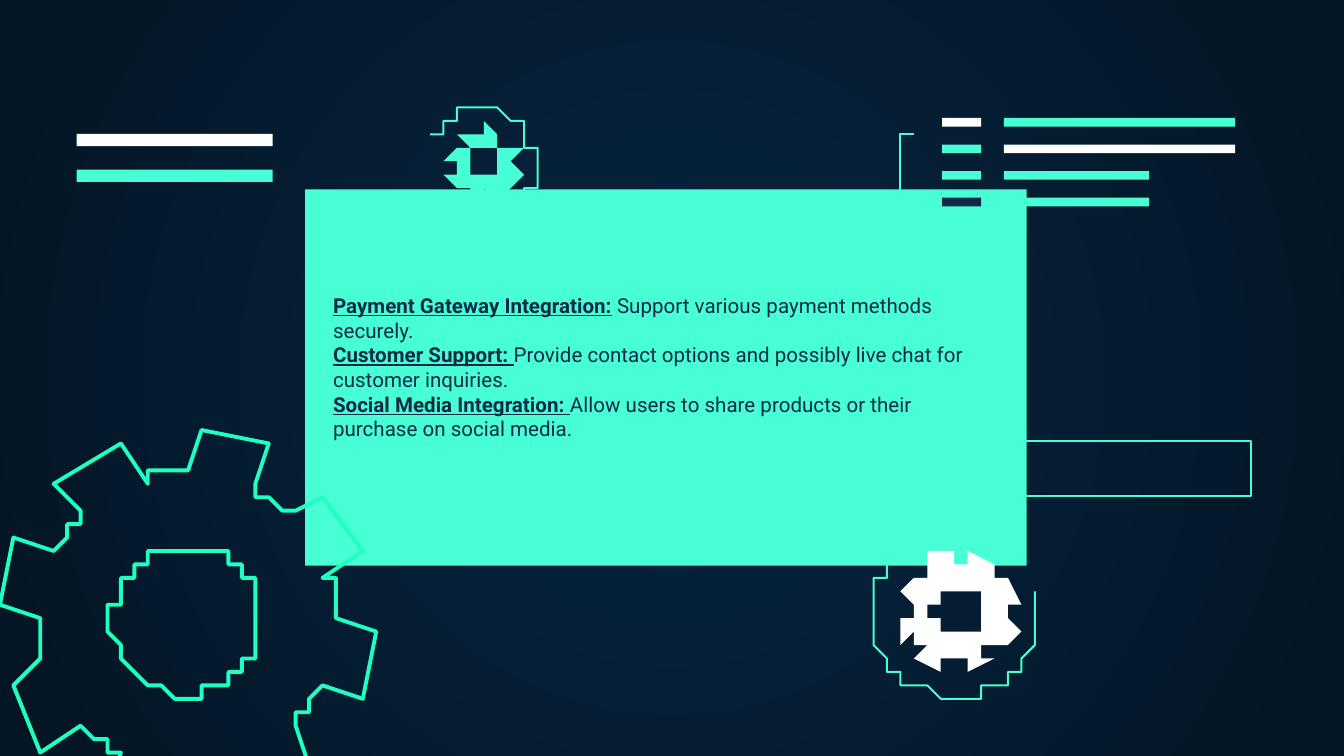
import math

from lxml import etree
from pptx import Presentation
from pptx import util as u
from pptx.dml.color import RGBColor
from pptx.enum import shapes, text
from pptx.oxml.ns import qn

COLUMNS, ROWS = 100, 56.25
CELL = u.Inches(10) // COLUMNS
MINT, BRIGHT, NAVY, WHITE = "48FFD5", "1EFFC1", "0E2A47", "FFFFFF"

FEATURES = [
    ("Payment Gateway Integration:", " Support various payment methods securely."),
    ("Customer Support: ", "Provide contact options and possibly live chat for customer inquiries."),
    ("Social Media Integration: ", "Allow users to share products or their purchase on social media."),
]


def cells(n):
    return u.Emu(round(n * CELL))


def paint(color_format, value):
    color_format.rgb = RGBColor.from_string(value)


def style(sp, fill=None, line=None, width=1.09):
    sp.shadow.inherit = False
    if fill:
        sp.fill.solid()
        paint(sp.fill.fore_color, fill)
    else:
        sp.fill.background()
    if line:
        paint(sp.line.color, line)
        sp.line.width = u.Pt(width)
    else:
        sp.line.fill.background()


def add_background(s, inner, outer):
    fill = s.background.fill
    fill.gradient()
    for stop, value in zip(fill.gradient_stops, (inner, outer)):
        paint(stop.color, value)
    grad = s.element.find(".//" + qn("a:gradFill"))
    for stop, position in zip(grad.iter(qn("a:gs")), ("0", "100000")):
        stop.set("pos", position)
    grad.remove(grad.find(qn("a:lin")))
    shade = etree.SubElement(grad, qn("a:path"), path="circle")
    etree.SubElement(shade, qn("a:fillToRect"), dict.fromkeys("ltrb", "50000"))


def add_box(s, x, y, w, h, **look):
    sp = s.shapes.add_shape(shapes.MSO_SHAPE.RECTANGLE, *map(cells, (x, y, w, h)))
    style(sp, **look)


def add_outline(s, contours, closed=True, **look):
    builder = s.shapes.build_freeform(*contours[0][0], scale=CELL)
    builder.add_line_segments(contours[0][1:], close=closed)
    for contour in contours[1:]:
        builder.move_to(*contour[0])
        builder.add_line_segments(contour[1:], close=closed)
    style(builder.convert_to_shape(), **look)


def arc(cx, cy, radius, start, end, steps):
    angles = [math.radians(start + (end - start) * i / steps) for i in range(steps + 1)]
    return [(cx + radius * math.cos(a), cy + radius * math.sin(a)) for a in angles]


def add_ring(s, cx, cy, radius, start, end):
    add_outline(s, [arc(cx, cy, radius, start, end, 90)], closed=False, line=MINT)


def add_gear(s, cx, cy, radius, turn, **look):
    half, root, teeth = 0.195 * radius, 0.8 * radius, 8
    tip = math.degrees(math.atan2(half, radius))
    foot = math.degrees(math.asin(half / root))
    rim = []
    for i in range(teeth):
        angle = turn + i * 360 / teeth
        rim += arc(cx, cy, math.hypot(radius, half), angle - tip, angle + tip, 1)
        rim += arc(cx, cy, root, angle + foot, angle + 360 / teeth - foot, 8)
    hole = arc(cx, cy, 0.4 * radius, 360, 0, 72)[:-1]
    add_outline(s, [rim, hole], **look)


def add_menu(s):
    rows = [(WHITE, MINT, 17.2), (MINT, WHITE, 17.2), (MINT, MINT, 10.8), (NAVY, MINT, 10.8)]
    for i, (label, entry, width) in enumerate(rows):
        y = 8.77 + 1.98 * i
        add_box(s, 70.1, y, 2.9, 0.65, fill=label)
        add_box(s, 74.7, y, width, 0.65, fill=entry)


def add_features(s, x, y, w, h):
    tf = s.shapes.add_textbox(*map(cells, (x, y, w, h))).text_frame
    tf.word_wrap = True
    tf.vertical_anchor = text.MSO_ANCHOR.TOP
    tf.margin_left = tf.margin_right = tf.margin_top = tf.margin_bottom = cells(1)
    for i, (name, detail) in enumerate(FEATURES):
        p = tf.paragraphs[0] if i == 0 else tf.add_paragraph()
        p.font.name, p.font.size = "Roboto", u.Pt(11)
        paint(p.font.color, NAVY)
        r = p.add_run()
        r.text = name
        r.font.bold = r.font.underline = True
        p.add_run().text = detail


def main():
    prs = Presentation()
    prs.slide_width, prs.slide_height = cells(COLUMNS), cells(ROWS)
    s = prs.slides.add_slide(prs.slide_layouts[6])
    add_background(s, "052643", "041523")
    add_ring(s, 35.7, 12.2, 4.1, -154, 101)
    add_ring(s, 71, 45.5, 6.2, -15, 233)
    add_outline(s, [[(68.2, 9.5), (66.7, 9.5), (66.7, 15.6), (68.3, 15.6)]], closed=False, line=MINT)
    add_box(s, 72, 32.8, 21.1, 4.1, line=MINT)
    add_box(s, 22.7, 14.1, 53.7, 28, fill=MINT)
    add_gear(s, 13.9, 46.15, 13.8, 14, line=BRIGHT, width=2.1)
    add_gear(s, 71.25, 45.45, 4.55, 26.4, fill=WHITE)
    add_gear(s, 35.9, 12.2, 2.7, 18.8, fill=MINT)
    add_menu(s)
    for y, color in ((9.97, WHITE), (12.63, MINT)):
        add_box(s, 5.7, y, 14.6, 0.9, fill=color)
    add_features(s, 23.8, 20.8, 51.4, 13.5)
    prs.save("out.pptx")


if __name__ == "__main__":
    main()
